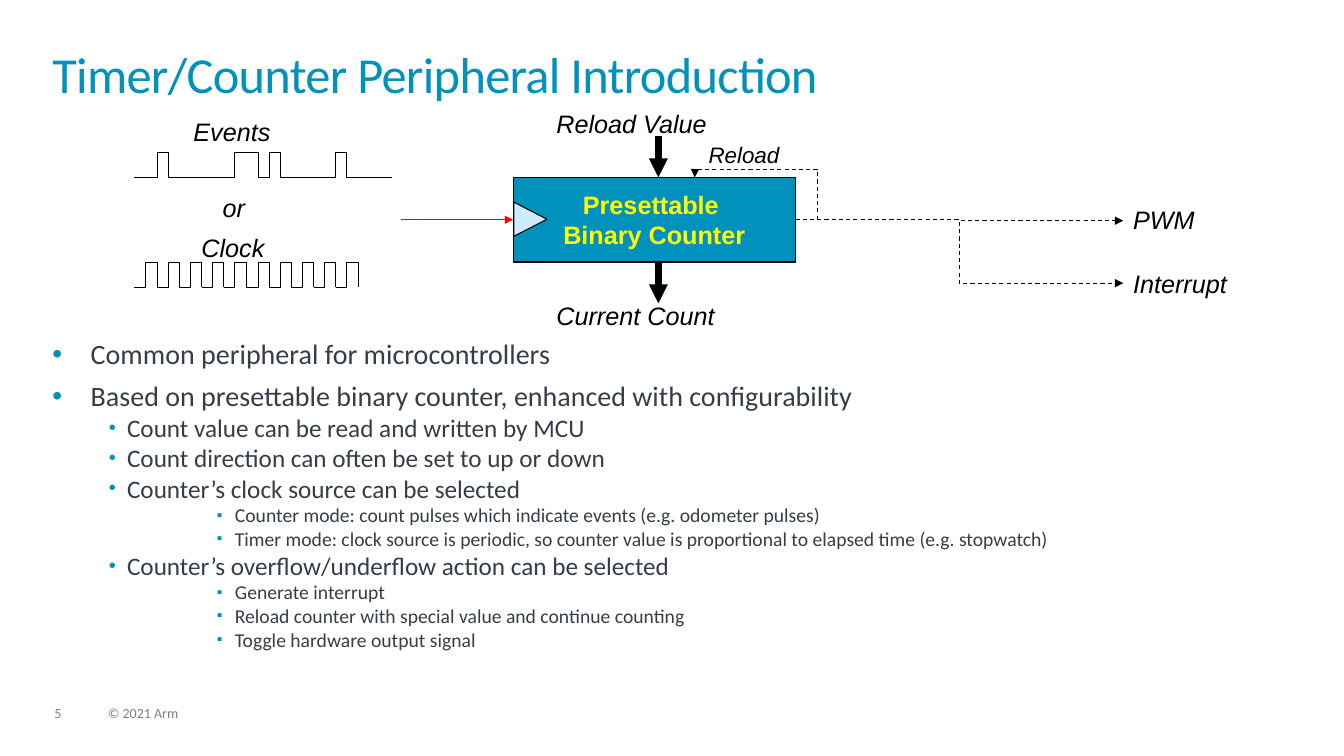
from lxml.etree import SubElement
from pptx import Presentation
from pptx.dml.color import RGBColor
from pptx.enum.dml import MSO_LINE
from pptx.enum.shapes import MSO_CONNECTOR, MSO_SHAPE
from pptx.enum.text import MSO_ANCHOR, PP_ALIGN
from pptx.oxml.ns import qn
from pptx.util import Pt

PX = 9144
TEAL, SLATE, GREY = "0091BD", "333E48", "7F7F7F"
BLACK, RED, YELLOW, PALE = "000000", "FF0000", "FFFF00", "CCECFF"
TOP, LEFT, RIGHT = 0, 1, 3

LEVELS = [
    dict(level=0, size=20, margin=38, hang=38, char="•", percent=100, before=6),
    dict(level=1, size=18, margin=74, hang=18, char="•", percent=80, before=0),
    dict(level=5, size=14, margin=181, hang=18, char="▪", percent=80, before=0),
]

POINTS = [
    (0, "Common peripheral for microcontrollers"),
    (0, "Based on presettable binary counter, enhanced with configurability"),
    (1, "Count value can be read and written by MCU"),
    (1, "Count direction can often be set to up or down"),
    (1, "Counter’s clock source can be selected"),
    (2, "Counter mode: count pulses which indicate events (e.g. odometer pulses)"),
    (2, "Timer mode: clock source is periodic, so counter value is proportional to elapsed time (e.g. stopwatch)"),
    (1, "Counter’s overflow/underflow action can be selected"),
    (2, "Generate interrupt"),
    (2, "Reload counter with special value and continue counting"),
    (2, "Toggle hardware output signal"),
]

SIGNAL_LABELS = [
    ("Events", 182, 111, 97),
    ("or", 211, 186, 43),
    ("Clock", 190, 226, 83),
    ("Reload Value", 542, 103, 171),
    ("Current Count", 542, 293, 179),
    ("PWM", 1114, 198, 82),
    ("Interrupt", 1114, 261, 114),
]


def color(value):
    return RGBColor.from_string(value)


def tick(number):
    return round(number * 100 / 9)


class SlideBuilder:
    def __init__(self, slide):
        self.shapes = slide.shapes

    def run(self, paragraph, text, size, ink, font="Calibri", bold=False, italic=False):
        run = paragraph.add_run()
        run.text = text
        run.font.name, run.font.size = font, Pt(size)
        run.font.bold, run.font.italic = bold, italic
        run.font.color.rgb = color(ink)
        return run

    def frame(self, x, y, width, height, inset=(0, 0), wrap=True):
        box = self.shapes.add_textbox(x * PX, y * PX, width * PX, height * PX)
        frame = box.text_frame
        frame.word_wrap = wrap
        frame.margin_left = frame.margin_right = inset[0] * PX
        frame.margin_top = frame.margin_bottom = inset[1] * PX
        return frame

    def heading(self, text, x, y, width, height):
        paragraph = self.frame(x, y, width, height).paragraphs[0]
        paragraph.line_spacing = 0.85
        run = self.run(paragraph, text, 36, TEAL)
        run.font._element.set("spc", "-50")

    def footer(self, text, x, width):
        paragraph = self.frame(x, 701, width, 15).paragraphs[0]
        paragraph.line_spacing = 0.9
        self.run(paragraph, text, 10, GREY)

    def label(self, text, x, y, width, size=18):
        frame = self.frame(x, y, width, 40, (10, 5), wrap=False)
        self.run(frame.paragraphs[0], text, size, BLACK, "Arial", italic=True)

    def bullets(self, points, x, y, width, height):
        frame = self.frame(x, y, width, height)
        for index, (depth, text) in enumerate(points):
            paragraph = frame.add_paragraph() if index else frame.paragraphs[0]
            style = LEVELS[depth]
            paragraph.level = style["level"]
            props = paragraph._p.get_or_add_pPr()
            props.set("marL", str(style["margin"] * PX))
            props.set("indent", str(-style["hang"] * PX))
            bullet_color = SubElement(props, qn("a:buClr"))
            SubElement(bullet_color, qn("a:srgbClr"), val=TEAL)
            SubElement(props, qn("a:buSzPct"), val=str(style["percent"] * 1000))
            SubElement(props, qn("a:buFont"), typeface="Arial")
            SubElement(props, qn("a:buChar"), char=style["char"])
            paragraph.space_before = Pt(style["before"] if index else 0)
            self.run(paragraph, text, style["size"], SLATE)

    def stroke(self, item, ink=BLACK, weight=0.75, dashed=False, arrow=False):
        item.line.color.rgb = color(ink)
        item.line.width = Pt(weight)
        if dashed:
            item.line.dash_style = MSO_LINE.DASH
        if arrow:
            outline = item._element.spPr.find(qn("a:ln"))
            SubElement(outline, qn("a:tailEnd"), type="triangle")

    def block(self, kind, x, y, width, height, fill):
        block = self.shapes.add_shape(kind, x * PX, y * PX, width * PX, height * PX)
        block.shadow.inherit = False
        block.fill.solid()
        block.fill.fore_color.rgb = color(fill)
        self.stroke(block)
        return block

    def caption(self, block, lines, ink):
        frame = block.text_frame
        frame.word_wrap = False
        frame.vertical_anchor = MSO_ANCHOR.MIDDLE
        paragraph = frame.paragraphs[0]
        paragraph.alignment = PP_ALIGN.CENTER
        for index, line in enumerate(lines):
            if index:
                paragraph.add_line_break()
            self.run(paragraph, line, 18, ink, "Arial", bold=True)

    def arrow(self, start, end, kind=MSO_CONNECTOR.STRAIGHT, **stroke):
        arrow = self.shapes.add_connector(kind, *(value * PX for value in (*start, *end)))
        self.stroke(arrow, arrow=True, **stroke)
        SubElement(arrow._element.spPr, qn("a:effectLst"))
        return arrow

    def trace(self, points, **stroke):
        builder = self.shapes.build_freeform(*points[0], scale=PX)
        builder.add_line_segments(points[1:], close=False)
        trace = builder.convert_to_shape()
        trace.shadow.inherit = False
        trace.fill.background()
        self.stroke(trace, **stroke)

    def pulses(self, first, edges, last, low, high):
        points = [(tick(first), low)]
        levels = [low, high]
        for index, edge in enumerate(edges):
            before, after = levels[index % 2], levels[1 - index % 2]
            points += [(tick(edge), before), (tick(edge), after)]
        if last > edges[-1]:
            points.append((tick(last), low))
        self.trace(points)


def main():
    deck = Presentation()
    deck.slide_width, deck.slide_height = 1333 * PX, 750 * PX
    page = SlideBuilder(deck.slides.add_slide(deck.slide_layouts[6]))

    page.heading("Timer/Counter Peripheral Introduction", 52, 52, 1228, 72)
    page.bullets(POINTS, 52, 334, 1228, 335)
    page.footer("5", 54, 34)
    page.footer("© 2021 Arm", 107, 507)

    counter = page.block(MSO_SHAPE.RECTANGLE, 509, 176, 280, 84, TEAL)
    page.caption(counter, ["Presettable ", "Binary Counter"], YELLOW)
    clock_input = page.block(MSO_SHAPE.ISOSCELES_TRIANGLE, 509, 201, 34, 33, PALE)
    clock_input.rotation = 90

    source = page.arrow((398, 218), (509, 218), ink=RED)
    source.end_connect(counter, LEFT)
    for top in (135, 260):
        page.arrow((653, top), (653, top + 41), weight=4.5)
    for output in (219, 281):
        signal = page.arrow((789, 218), (1114, output), MSO_CONNECTOR.ELBOW, dashed=True)
        signal.begin_connect(counter, RIGHT)
    page.trace([(811, 218), (811, 168), (689, 168), (689, 176)], dashed=True, arrow=True)

    page.pulses(12, [14, 15, 21, 23, 24, 25, 30, 31], 35, 176, 151)
    for start in range(12, 32, 2):
        page.pulses(start, [start + 1, start + 2], start + 2, 285, 260)

    for text, x, y, width in SIGNAL_LABELS:
        page.label(text, x, y, width)
    page.label("Reload", 693, 135, 90, size=16)

    deck.save("out.pptx")


if __name__ == "__main__":
    main()
